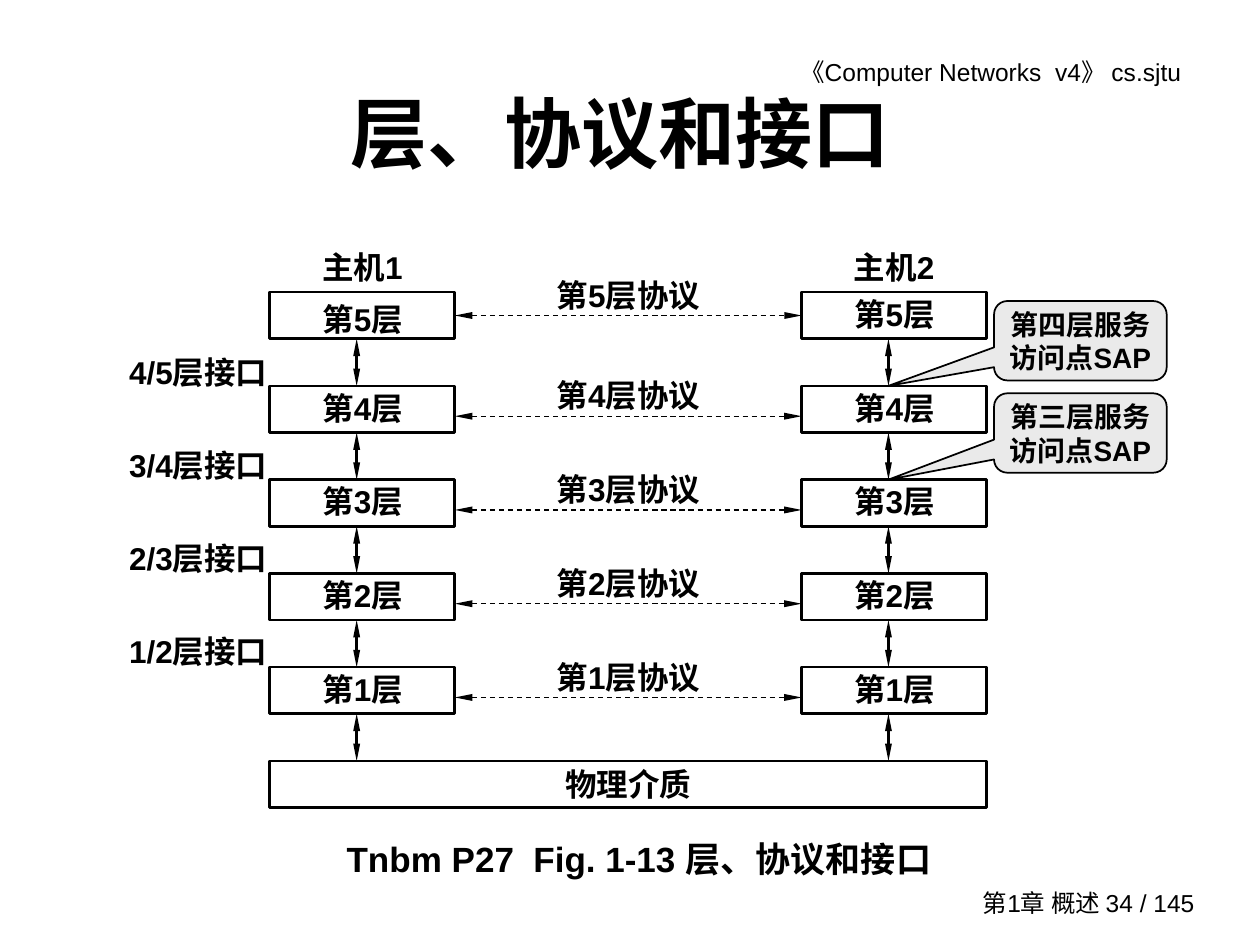
from dataclasses import dataclass

import pptx
import pptx.dml.color
import pptx.enum.dml
import pptx.enum.shapes
import pptx.enum.text
import pptx.oxml
import pptx.oxml.ns
import pptx.util
from lxml import etree

Cm = pptx.util.Cm
Align = pptx.enum.text.PP_ALIGN
Anchor = pptx.enum.text.MSO_ANCHOR
Shape = pptx.enum.shapes.MSO_SHAPE
qn = pptx.oxml.ns.qn


@dataclass(frozen=True)
class Theme:
    latin: str = "Arial"
    east_asian: str = "Noto Sans CJK SC"
    ink: str = "000000"
    paper: str = "FFFFFF"
    callout: str = "EAEAEA"
    title: float = 44
    caption: float = 20
    label: float = 18
    note: float = 16
    small: float = 14
    line: float = 1.5
    callout_line: float = 1
    dash_line: float = 0.75


@dataclass(frozen=True)
class Box:
    """A rectangle in centimetres."""
    left: float
    top: float
    width: float
    height: float

    def inner(self, left, top, width, height):
        return Box(self.left + left, self.top + top, width, height)

    def lengths(self):
        return [Cm(v) for v in (self.left, self.top, self.width, self.height)]


THEME = Theme()
LAYERS = (5, 4, 3, 2, 1)
LAYER_WIDTH, LAYER_HEIGHT, PITCH = 3.73, 0.94, 1.89
ARROW_X = 1.75  # interface arrows, from the left side of a host
INSETS = (0.25, 0.13, 0.25, 0.13)


def rgb(value):
    return pptx.dml.color.RGBColor.from_string(value)


def write(shape, lines, size, align=Align.CENTER, anchor=Anchor.TOP,
          insets=INSETS, spacing=None, bold=True, latin=THEME.latin):
    frame = shape.text_frame
    frame.word_wrap = True
    frame.vertical_anchor = anchor
    (frame.margin_left, frame.margin_top,
     frame.margin_right, frame.margin_bottom) = [Cm(v) for v in insets]
    for index, line in enumerate(lines):
        paragraph = frame.add_paragraph() if index else frame.paragraphs[0]
        paragraph.alignment = align
        paragraph.line_spacing = spacing
        run = paragraph.add_run()
        run.text = line
        run.font.size = pptx.util.Pt(size)
        run.font.bold = bold
        run.font.color.rgb = rgb(THEME.ink)
        run.font.name = latin
        east_asian = etree.SubElement(run.font._element, qn("a:ea"))
        east_asian.set("typeface", THEME.east_asian)


def add_text(slide, box, lines, size, **options):
    write(slide.shapes.add_textbox(*box.lengths()), lines, size, **options)


def add_outlined(slide, preset, box, fill, line_width):
    shape = slide.shapes.add_shape(preset, *box.lengths())
    shape.shadow.inherit = False
    shape.fill.solid()
    shape.fill.fore_color.rgb = rgb(fill)
    shape.line.color.rgb = rgb(THEME.ink)
    shape.line.width = pptx.util.Pt(line_width)
    return shape


def add_double_arrow(slide, x1, y1, x2, y2, width, dashed=False):
    connector = slide.shapes.add_connector(
        pptx.enum.shapes.MSO_CONNECTOR.STRAIGHT, Cm(x1), Cm(y1), Cm(x2), Cm(y2))
    connector.line.color.rgb = rgb(THEME.ink)
    connector.line.width = pptx.util.Pt(width)
    if dashed:
        connector.line.dash_style = pptx.enum.dml.MSO_LINE.DASH
    outline = connector.line._get_or_add_ln()
    for end in ("a:headEnd", "a:tailEnd"):
        head = etree.SubElement(outline, qn(end))
        for key, value in (("type", "triangle"), ("w", "sm"), ("len", "lg")):
            head.set(key, value)
    etree.SubElement(connector._element.spPr, qn("a:effectLst"))
    return connector


def add_host(slide, box, name, top_spacing=0.96):
    """Draw a layer stack with its name above; return the layer rectangles."""
    add_text(slide, box.inner(-0.22, -0.94, 4.17, LAYER_HEIGHT), [name],
             THEME.label, anchor=Anchor.MIDDLE, spacing=0.96)
    rectangles = []
    for row, layer in enumerate(LAYERS):
        cell = box.inner(0, row * PITCH, box.width, LAYER_HEIGHT)
        rectangle = add_outlined(slide, Shape.RECTANGLE, cell, THEME.paper, THEME.line)
        write(rectangle, [f"第{layer}层"], THEME.label, align=Align.LEFT,
              anchor=Anchor.MIDDLE, insets=(1.06, 0.13, 0.25, 0.13),
              spacing=0.96 if row else top_spacing)
        x, bottom = cell.left + ARROW_X, cell.top + LAYER_HEIGHT
        add_double_arrow(slide, x, bottom, x, cell.top + PITCH, THEME.line)
        rectangles.append(rectangle)
    return rectangles


def add_protocols(slide, box, left_layers, right_layers):
    """Join equal layers of the two hosts across the gap given as box."""
    for row, layer in enumerate(LAYERS):
        top = row * PITCH
        y = box.top + top + LAYER_HEIGHT / 2 + 0.14
        arrow = add_double_arrow(slide, box.left, y, box.left + box.width, y,
                                 THEME.dash_line, dashed=True)
        if row == 0:
            arrow.begin_connect(left_layers[row], 3)
            arrow.end_connect(right_layers[row], 1)
        lift = 0.27 if row else 0.41
        add_text(slide, box.inner(0.87, top - lift, 5.26, LAYER_HEIGHT),
                 [f"第{layer}层协议"], THEME.label, spacing=0.96)


def add_interfaces(slide, box):
    lines = [f"{layer - 1}/{layer}层接口" for layer in LAYERS[:-1]]
    add_text(slide, box, lines, THEME.label, align=Align.RIGHT, spacing=2.46)


def add_access_point(slide, box, text, tip_x, tip_y):
    callout = add_outlined(slide, Shape.ROUNDED_RECTANGULAR_CALLOUT, box,
                           THEME.callout, THEME.callout_line)
    callout.adjustments[0] = (tip_x - box.left) / box.width - 0.5
    callout.adjustments[1] = (tip_y - box.top) / box.height - 0.5
    write(callout, [text], THEME.note, insets=(0.05,) * 4)


def add_diagram(slide, box):
    right_host = box.width - LAYER_WIDTH
    stack_height = len(LAYERS) * PITCH
    left_layers = add_host(slide, box.inner(0, 0, LAYER_WIDTH, stack_height),
                           "主机1", top_spacing=1.2)
    right_layers = add_host(slide, box.inner(right_host, 0, LAYER_WIDTH, stack_height),
                            "主机2")
    medium = add_outlined(slide, Shape.RECTANGLE,
                          box.inner(0, stack_height, box.width, LAYER_HEIGHT),
                          THEME.paper, THEME.line)
    write(medium, ["物理介质"], THEME.label, spacing=0.96)
    add_protocols(slide, box.inner(LAYER_WIDTH, 0, right_host - LAYER_WIDTH, stack_height),
                  left_layers, right_layers)
    add_interfaces(slide, box.inner(-3.53, -0.02, 3.73, 8.46))
    for row, number in enumerate("四三"):
        add_access_point(slide, box.inner(14.6, 0.18 + row * 1.86, 3.48, 1.6),
                         f"第{number}层服务访问点SAP",
                         box.left + right_host + ARROW_X, box.top + (row + 1) * PITCH)


def add_page_texts(slide, page):
    add_text(slide, page.inner(13.59, 1.02, 10.74, 0.86),
             ["《Computer Networks  v4》 cs.sjtu"], THEME.small,
             align=Align.RIGHT, insets=(0.25, 0.13, 0.52, 0.13), bold=False)
    add_text(slide, page.inner(19.05, 17.78, 5.28, 0.84), ["第1章 概述 34 / 145"],
             THEME.small, align=Align.RIGHT, anchor=Anchor.MIDDLE, bold=False)
    add_text(slide, page.inner(1.7, 1.07, 21.59, 3.18), ["层、协议和接口"],
             THEME.title, anchor=Anchor.MIDDLE, latin=THEME.east_asian)
    add_text(slide, page.inner(5.87, 16.76, 14.02, 1.12),
             ["Tnbm P27  Fig. 1-13 层、协议和接口"], THEME.caption)


def main():
    presentation = pptx.Presentation()
    page = Box(0, 0, 25.4, 19.05)
    presentation.slide_width, presentation.slide_height = Cm(page.width), Cm(page.height)
    slide = presentation.slides.add_slide(presentation.slide_layouts[6])
    add_page_texts(slide, page)
    add_diagram(slide, page.inner(5.44, 5.89, 14.45, 10.39))
    presentation.save("out.pptx")


if __name__ == "__main__":
    main()
